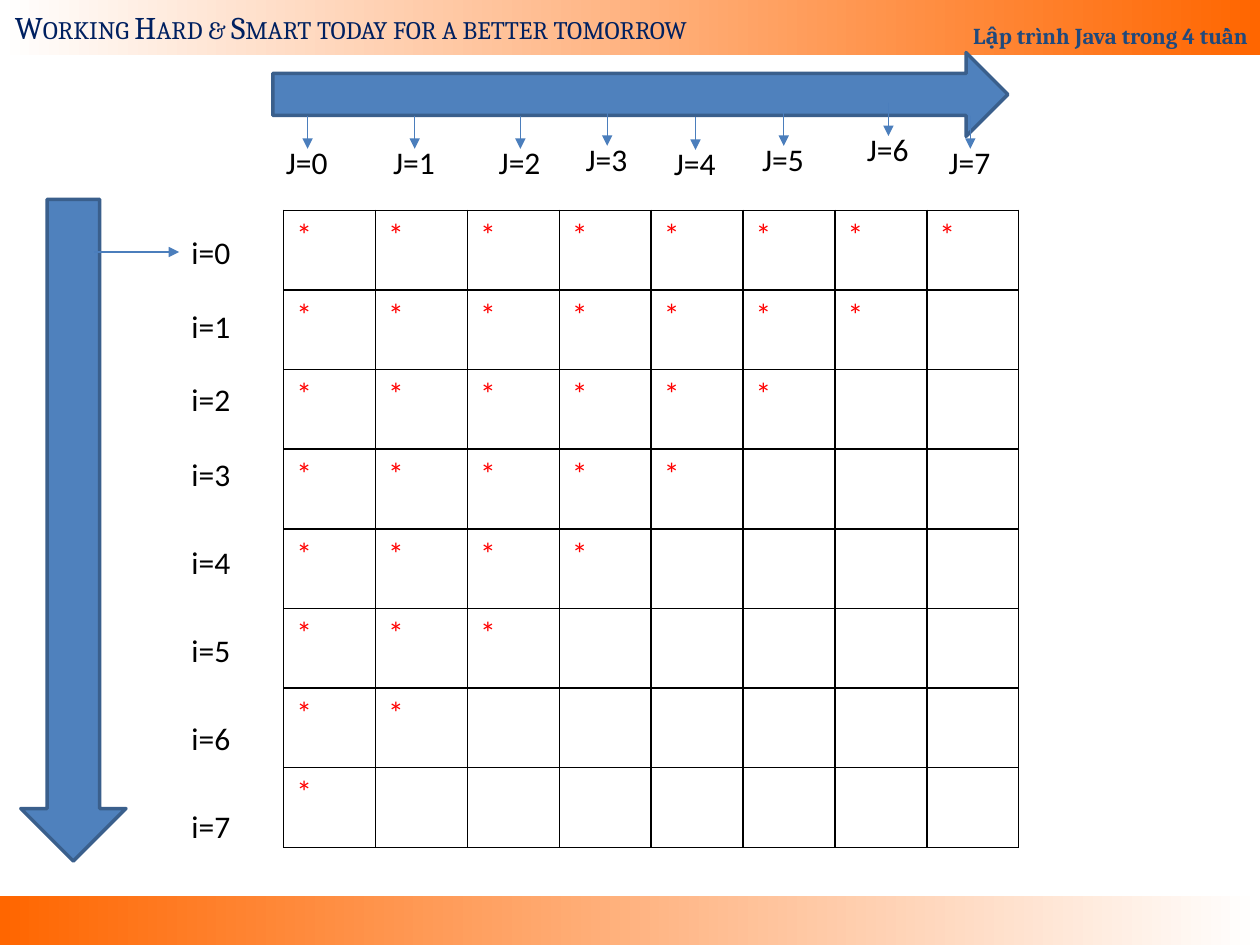
from lxml.etree import SubElement
from pptx import Presentation
from pptx.dml.color import RGBColor
from pptx.enum.shapes import MSO_CONNECTOR as Connector, MSO_SHAPE as Shape
from pptx.enum.text import MSO_ANCHOR as Anchor, MSO_AUTO_SIZE as AutoSize, PP_ALIGN as Align
from pptx.oxml.ns import qn
from pptx.util import Cm, Pt

COLORS = {
    "white": "FFFFFF", "black": "000000", "orange": "FF6600", "star": "FF0000",
    "motto": "002060", "course": "1F497D",
    "arrow": "4F81BD", "outline": "3A5F8C", "pointer": "4B7EBC",
}
FORMATS = {
    "motto": {"size": Pt(18), "name": "Cambria"},
    "course": {"size": Pt(13), "name": "Cambria", "bold": True},
    "black": {"size": Pt(18), "name": "Calibri"},
    "star": {"size": Pt(18), "name": "Calibri"},
}
MOTTO = "Working Hard & Smart today for a better tomorrow"
COURSE = "Lập trình Java trong 4 tuần"
SIZE = 8
BANDS = [
    ((0, 18.06, 25.4, 0.99), ("orange", "white")),
    ((0, 0, 25.4, 1.11), ("white", "orange")),
]
BLOCK_ARROWS = [
    (Shape.RIGHT_ARROW, (5.5, 1.06, 14.82, 1.69)),
    (Shape.DOWN_ARROW, (0.42, 4.02, 2.12, 13.34)),
]
TABLE = (5.72, 4.24, 14.82, 12.84)
COLUMN_LABELS = [
    (6.2, 2.75), (8.36, 2.75), (10.49, 2.75), (12.24, 2.69),
    (14.02, 2.77), (15.8, 2.69), (17.91, 2.49), (19.56, 2.75),
]
ROW_LABEL_TOPS = [4.57, 6.07, 7.54, 9.04, 10.82, 12.6, 14.38, 16.15]
COLUMN_LABEL_WIDTH, ROW_LABEL_WIDTH, LABEL_HEIGHT = 1.37, 1.3, 1.02
ROW_LABEL_LEFT = 3.61
POINTER_LENGTH, POINTER_OVERLAP = 0.67, 0.25


def color(key):
    return RGBColor.from_string(COLORS[key])


def lengths(values):
    return [Cm(value) for value in values]


def write(paragraph, text, style):
    run = paragraph.add_run()
    run.text = text
    for name, value in FORMATS[style].items():
        setattr(run.font, name, value)
    run.font.color.rgb = color(style)
    return run


def add_label(slide, text, box, style="black"):
    frame = slide.shapes.add_textbox(*lengths(box)).text_frame
    frame.word_wrap = False
    frame.auto_size = AutoSize.SHAPE_TO_FIT_TEXT
    return write(frame.paragraphs[0], text, style)


def add_band(slide, box, stops):
    band = slide.shapes.add_shape(Shape.RECTANGLE, *lengths(box))
    band.shadow.inherit = False
    band.line.fill.background()
    band.fill.gradient()
    band.fill.gradient_angle = 0
    for stop, key in zip(band.fill.gradient_stops, stops):
        stop.color.rgb = color(key)
    return band


def add_block_arrow(slide, kind, box):
    arrow = slide.shapes.add_shape(kind, *lengths(box))
    arrow.shadow.inherit = False
    arrow.fill.solid()
    arrow.fill.fore_color.rgb = color("arrow")
    arrow.line.color.rgb = color("outline")
    arrow.line.width = Pt(2)


def add_pointer(slide, start, end):
    pointer = slide.shapes.add_connector(Connector.STRAIGHT, *lengths(start + end))
    pointer.line.color.rgb = color("pointer")
    pointer.line.width = Pt(0.75)
    SubElement(pointer.line._get_or_add_ln(), qn("a:tailEnd"), type="triangle")
    SubElement(pointer._element.spPr, qn("a:effectLst"))


def add_borders(cell):
    properties = cell._tc.get_or_add_tcPr()
    for side in ("lnL", "lnR", "lnT", "lnB"):
        line = SubElement(properties, qn(f"a:{side}"), w=str(Pt(1)))
        fill = SubElement(line, qn("a:solidFill"))
        SubElement(fill, qn("a:srgbClr"), val=COLORS["black"])


def add_star_table(slide):
    table = slide.shapes.add_table(SIZE, SIZE, *lengths(TABLE)).table
    table.first_row = table.horz_banding = False
    for row in range(SIZE):
        for column in range(SIZE):
            cell = table.cell(row, column)
            add_borders(cell)
            cell.fill.background()
            if row + column < SIZE:
                write(cell.text_frame.paragraphs[0], "*", "star")


def main():
    presentation = Presentation()
    presentation.slide_width, presentation.slide_height = Cm(25.4), Cm(19.05)
    slide = presentation.slides.add_slide(presentation.slide_layouts[6])

    _, header = [add_band(slide, *band) for band in BANDS]
    header.text_frame.vertical_anchor = Anchor.BOTTOM
    paragraph = header.text_frame.paragraphs[0]
    paragraph.alignment = Align.RIGHT
    paragraph.line_spacing = 1.8
    write(paragraph, COURSE, "course")
    motto = add_label(slide, MOTTO, (0.05, 0.03, 14.99, 1.02), "motto")
    motto._r.get_or_add_rPr().set("cap", "small")

    add_star_table(slide)
    for arrow in BLOCK_ARROWS:
        add_block_arrow(slide, *arrow)

    for index, (center, top) in enumerate(COLUMN_LABELS):
        tip = top + POINTER_OVERLAP
        add_pointer(slide, (center, tip - POINTER_LENGTH), (center, tip))
        left = center - COLUMN_LABEL_WIDTH / 2
        add_label(slide, f"J={index}", (left, top, COLUMN_LABEL_WIDTH, LABEL_HEIGHT))

    add_pointer(slide, (1.9, 5.08), (ROW_LABEL_LEFT, 5.08))
    for index, top in enumerate(ROW_LABEL_TOPS):
        add_label(slide, f"i={index}", (ROW_LABEL_LEFT, top, ROW_LABEL_WIDTH, LABEL_HEIGHT))

    presentation.save("out.pptx")


if __name__ == "__main__":
    main()
